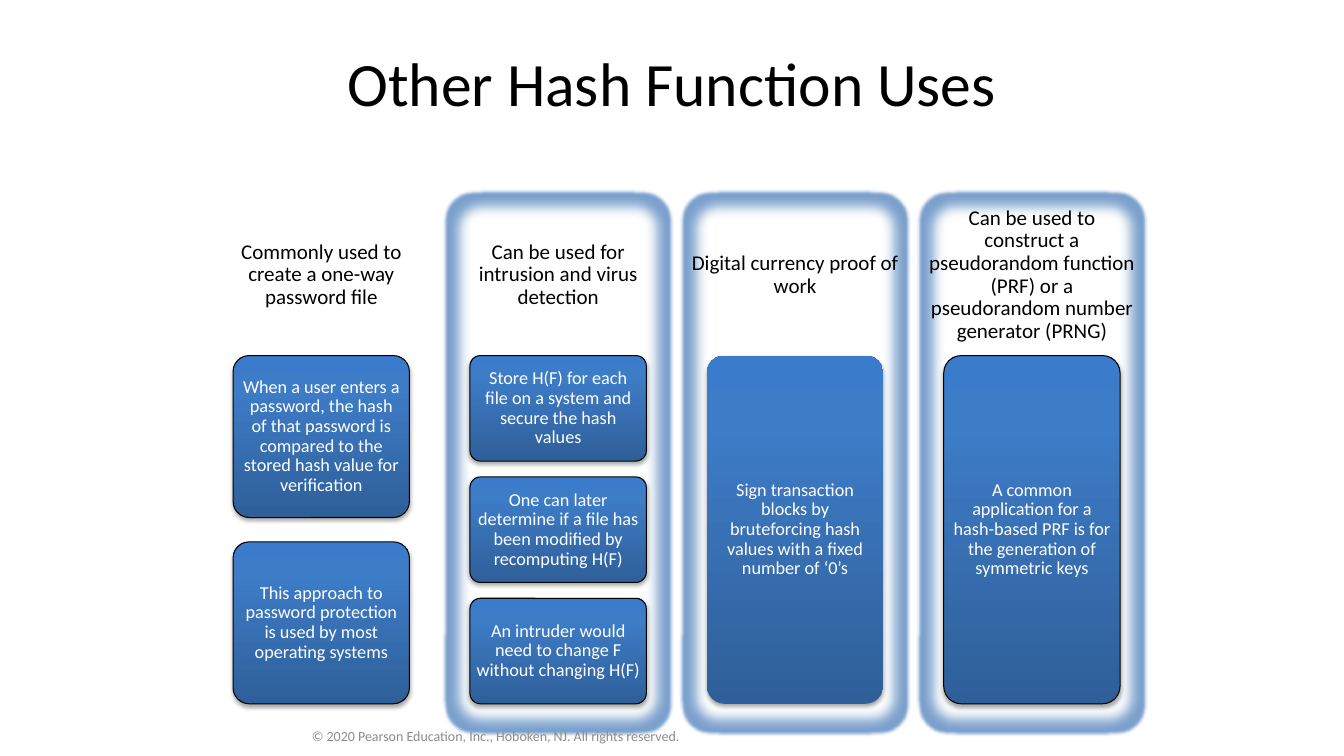
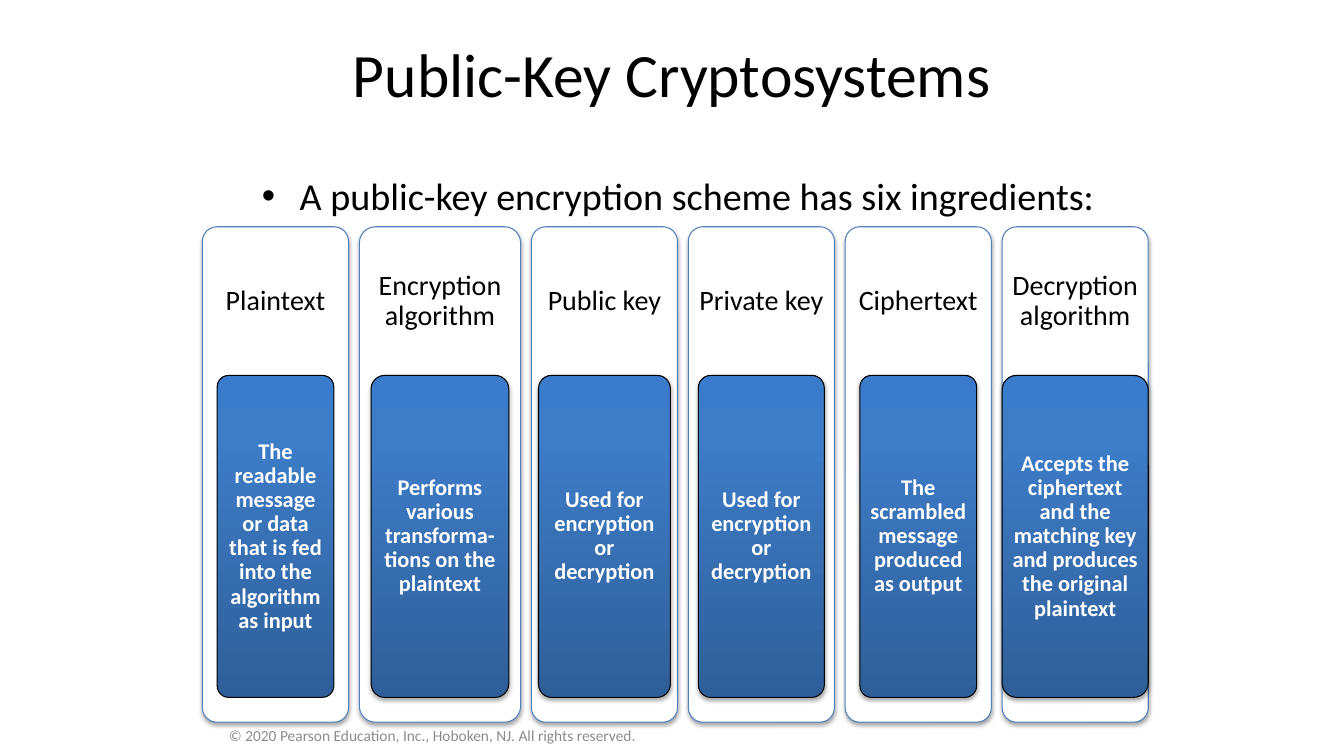
import copy

import pptx
import pptx.dml.color
import pptx.enum.shapes
import pptx.enum.text
import pptx.oxml
import pptx.oxml.ns
import pptx.util

FONT = "Calibri"
BLACK, WHITE, GREY, BLUE = "000000", "FFFFFF", "8C8C8C", "4F81BD"
CARD_STOPS = [(0, "2F5F99"), (0.8, "3D7CC7"), (1, "3A7CCB")]
COLUMNS = 16
HEADING_SHARE, STACK_SHARE, CARD_GAP_SHARE = 0.3, 0.65, 0.15
COPYRIGHT = "© 2020 Pearson Education, Inc., Hoboken, NJ. All rights reserved."
SHADOW = (
    '<a:outerShdw {ns} blurRad="40000" dist="23000" dir="5400000" rotWithShape="0">'
    '<a:srgbClr val="000000"><a:alpha val="35000"/></a:srgbClr></a:outerShdw>'
)
GLOW = (
    '<a:glow {ns} rad="63500"><a:srgbClr val="4F81BD">'
    '<a:alpha val="75000"/></a:srgbClr></a:glow>'
)
SOFT_EDGE = '<a:softEdge {ns} rad="112500"/>'


def color(value):
    return pptx.dml.color.RGBColor.from_string(value)


def xml(template):
    return pptx.oxml.parse_xml(template.format(ns=pptx.oxml.ns.nsdecls("a")))


class Deck:
    """Holds the shared style and the current slide, measured in square grid cells."""

    def __init__(self):
        self.presentation = pptx.Presentation()
        self.presentation.slide_width = pptx.util.Inches(13.33)
        self.presentation.slide_height = pptx.util.Inches(7.5)
        self.slide = None

    def cells(self, count):
        return round(self.presentation.slide_width * count / COLUMNS)

    def new_slide(self, title, title_height):
        self.slide = self.presentation.slides.add_slide(self.presentation.slide_layouts[6])
        self.text(title, 2, 0.05, 12, title_height, 44)

    def set_text(self, shape, text, size, ink, bold=False, spacing=None, inset=None):
        frame = shape.text_frame
        frame.word_wrap = True
        frame.vertical_anchor = pptx.enum.text.MSO_ANCHOR.MIDDLE
        if inset:
            frame.margin_left = frame.margin_right = self.cells(inset)
            frame.margin_top = frame.margin_bottom = self.cells(inset)
        paragraph = frame.paragraphs[0]
        paragraph.text = text
        paragraph.alignment = pptx.enum.text.PP_ALIGN.CENTER
        paragraph.line_spacing = spacing
        paragraph.font.name = FONT
        paragraph.font.size = pptx.util.Pt(size)
        paragraph.font.bold = bold
        paragraph.font.color.rgb = color(ink)

    def text(self, text, left, top, width, height, size, ink=BLACK, **style):
        shape = self.slide.shapes.add_textbox(*map(self.cells, (left, top, width, height)))
        self.set_text(shape, text, size, ink, **style)
        return shape

    def bullet(self, text, left, top, width, height, size):
        shape = self.text(text, left, top, width, height, size)
        shape.text_frame.vertical_anchor = pptx.enum.text.MSO_ANCHOR.TOP
        paragraph = shape.text_frame.paragraphs[0]
        paragraph.alignment = pptx.enum.text.PP_ALIGN.LEFT
        properties = paragraph._p.get_or_add_pPr()
        indent = self.cells(0.45)
        properties.set("marL", str(indent))
        properties.set("indent", str(-indent))
        properties.insert(0, xml('<a:buChar {ns} char="•"/>'))
        properties.insert(0, xml('<a:buFont {ns} typeface="Arial"/>'))

    def rounded(self, left, top, width, height, line, effects):
        shape = self.slide.shapes.add_shape(
            pptx.enum.shapes.MSO_SHAPE.ROUNDED_RECTANGLE,
            *map(self.cells, (left, top, width, height)))
        shape.adjustments[0] = 0.1
        shape.fill.solid()
        shape.fill.fore_color.rgb = color(WHITE)
        if line:
            shape.line.color.rgb = color(line)
            shape.line.width = pptx.util.Pt(0.75)
        else:
            shape.line.fill.background()
        shape.shadow.inherit = False
        effect_list = shape._element.spPr.find(pptx.oxml.ns.qn("a:effectLst"))
        for effect in effects:
            effect_list.append(xml(effect))
        return shape

    def card(self, text, left, top, width, height, size, bold, line=BLACK, effects=(SHADOW,)):
        shape = self.rounded(left, top, width, height, line, effects)
        shape.fill.gradient()
        shape.fill.gradient_angle = 90
        stops = shape._element.spPr.find(".//" + pptx.oxml.ns.qn("a:gsLst"))
        stops.append(copy.deepcopy(stops[0]))
        for stop, (position, value) in zip(shape.fill.gradient_stops, CARD_STOPS):
            stop.position = position
            stop.color.rgb = color(value)
        self.set_text(shape, text, size, WHITE, bold=bold, spacing=0.9, inset=0.04)

    def panels(self, panels, left, top, span, height, heading_size, heading_inset,
               card_size, bold=False):
        gap = (span - sum(panel["width"] for panel in panels)) / (len(panels) - 1)
        for panel in panels:
            width, card_width, texts = panel["width"], panel["card_width"], panel["cards"]
            if "frame" in panel:
                self.rounded(left, top, width, height, *panel["frame"])
            self.text(panel["heading"], left, top, width, height * HEADING_SHARE,
                      heading_size, spacing=0.9, inset=heading_inset)
            count = len(texts)
            card_height = height * STACK_SHARE / (count + (count - 1) * CARD_GAP_SHARE)
            for row, text in enumerate(texts):
                card_top = top + height * HEADING_SHARE + row * card_height * (1 + CARD_GAP_SHARE)
                self.card(text, left + (width - card_width) / 2, card_top, card_width,
                          card_height, card_size, bold, **panel.get("card_style", {}))
            left += width + gap

    def footer(self, width, size):
        self.text(COPYRIGHT, 2, 8.52, width, 0.48, size, GREY)


def hash_uses(deck):
    deck.new_slide("Other Hash Function Uses", 1.86)
    column = {"width": 2.63, "card_width": 2.1}
    glowing = {**column, "frame": (None, (GLOW, SOFT_EDGE))}
    panels = [
        {**column, "heading": "Commonly used to create a one-way password file", "cards": [
            "When a user enters a password, the hash of that password is compared to the "
            "stored hash value for verification",
            "This approach to password protection is used by most operating systems"]},
        {**glowing, "heading": "Can be used for intrusion and virus detection", "cards": [
            "Store H(F) for each file on a system and secure the hash values",
            "One can later determine if a file has been modified by recomputing H(F)",
            "An intruder would need to change F without changing H(F)"]},
        {**glowing, "heading": "Digital currency proof of work", "cards": [
            "Sign transaction blocks by bruteforcing hash values with a fixed number of ‘0’s"],
         "card_style": {"line": None}},
        {**glowing, "heading": "Can be used to construct a pseudorandom function (PRF) or a "
                               "pseudorandom number generator (PRNG)", "cards": [
            "A common application for a hash-based PRF is for the generation of "
            "symmetric keys"]},
    ]
    deck.panels(panels, 2.51, 2.32, 11.09, 6.38, 15, 0.07, 13)
    deck.footer(7.8, 10)


def public_key(deck):
    deck.new_slide("Public-Key Cryptosystems", 1.64)
    deck.bullet("A public-key encryption scheme has six ingredients:", 3, 2, 10.16, 0.79, 27.2)
    ingredients = [
        ("Plaintext", 1.74, 1.39,
         "The readable message or data that is fed into the algorithm as input"),
        ("Encryption algorithm", 1.92, 1.64,
         "Performs various transforma-tions on the plaintext"),
        ("Public key", 1.74, 1.57, "Used for encryption or decryption"),
        ("Private key", 1.74, 1.5, "Used for encryption or decryption"),
        ("Ciphertext", 1.74, 1.39, "The scrambled message produced as output"),
        ("Decryption algorithm", 1.74, 1.74,
         "Accepts the ciphertext and the matching key and produces the original plaintext"),
    ]
    panels = [
        {"heading": heading, "width": width, "card_width": card_width, "cards": [text],
         "frame": (BLUE, (SHADOW,))}
        for heading, width, card_width, text in ingredients
    ]
    panels[0]["card_style"] = {"effects": ()}
    deck.panels(panels, 2.41, 2.7, 11.26, 5.9, 20, 0.1, 16, bold=True)
    deck.footer(6.3, 11)


def main():
    deck = Deck()
    hash_uses(deck)
    public_key(deck)
    deck.presentation.save("out.pptx")


if __name__ == "__main__":
    main()
